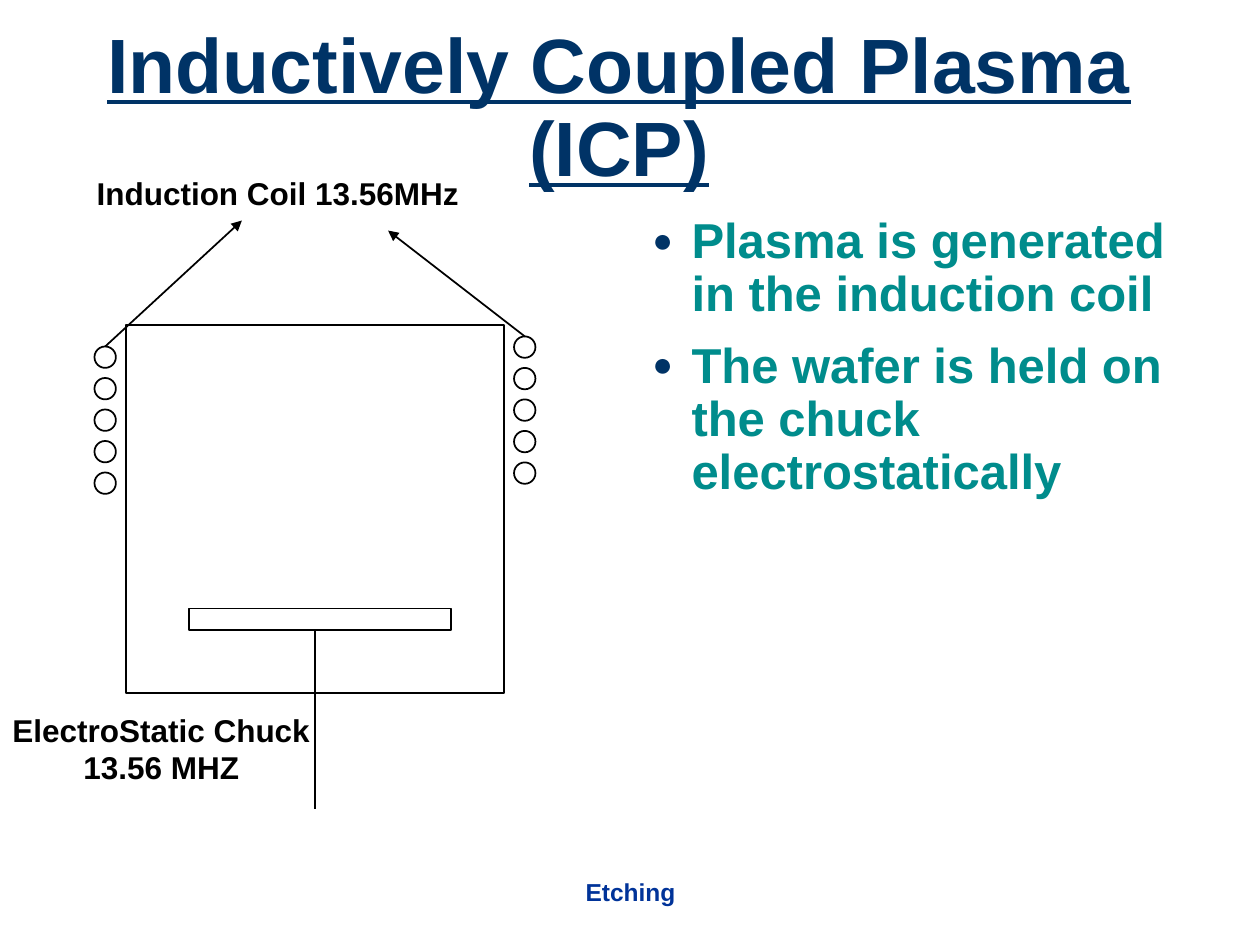
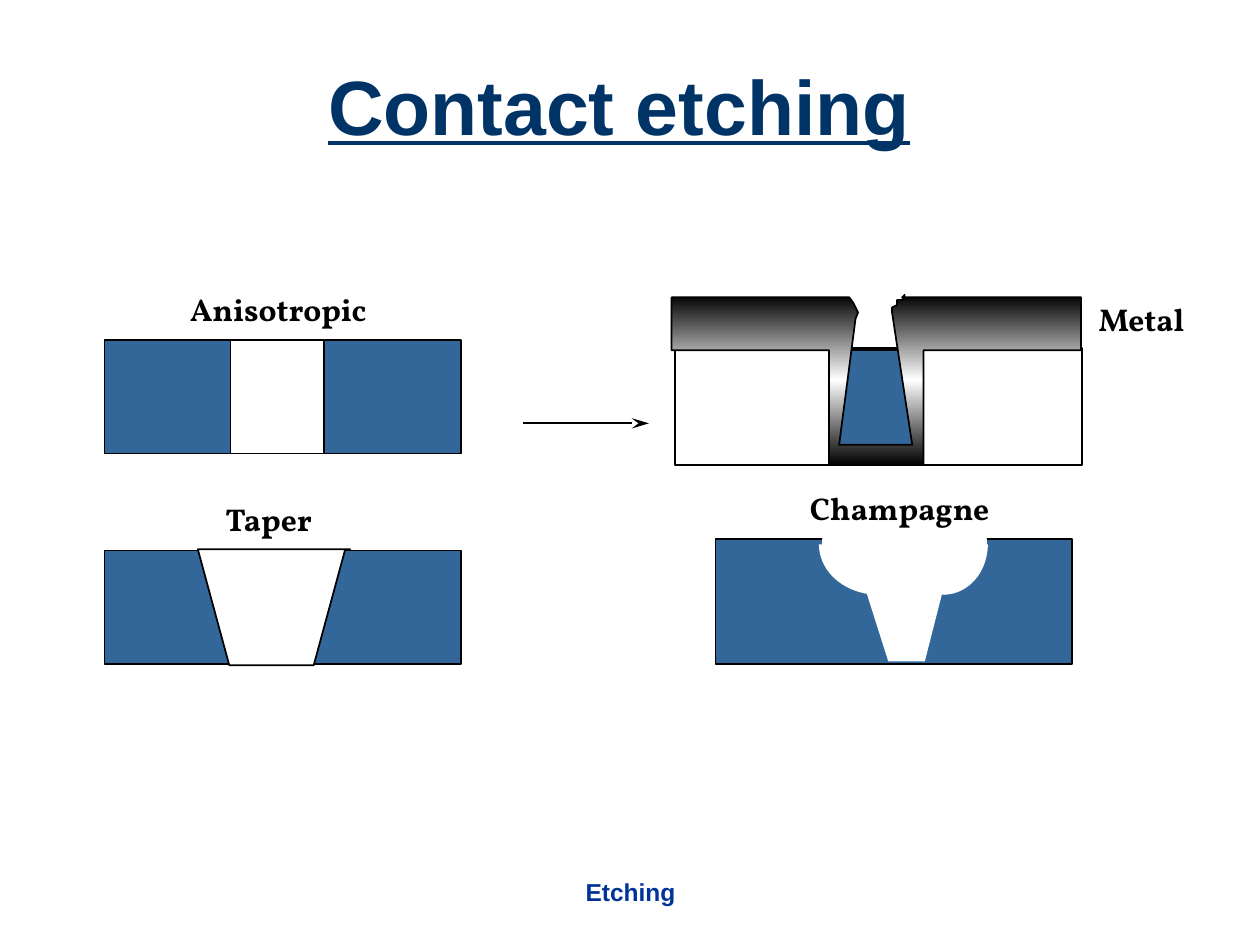
"""Build two slides on plasma etching: an ICP reactor and contact etch profiles."""
from math import cos, pi, sin

from lxml.etree import SubElement
from pptx import Presentation
from pptx.dml.color import RGBColor
from pptx.enum.shapes import MSO_CONNECTOR, MSO_SHAPE
from pptx.enum.text import MSO_ANCHOR, MSO_AUTO_SIZE, PP_ALIGN
from pptx.oxml.ns import qn
from pptx.util import Inches, Pt

NAVY, FOOTER_BLUE, TEAL = "003366", "003399", "008C8C"
OXIDE, BLACK, WHITE = "336699", "000000", "FFFFFF"
SANS, SERIF = "Arial", "Vollkorn"


def color(value):
    return RGBColor.from_string(value)


def lengths(values):
    return [Inches(value) for value in values]


def quarter_disc(center_x, center_y, radius_x, radius_y, side, steps=24):
    """Outline the lower quarter of an ellipse; side is -1 for left, 1 for right."""
    angles = [pi / 2 * step / steps for step in range(steps + 1)]
    return [(center_x, center_y)] + [
        (center_x + side * radius_x * cos(angle), center_y + radius_y * sin(angle))
        for angle in angles
    ]


class SlideMaker:
    """Hold the shared style and the current slide."""

    def __init__(self):
        self.deck = Presentation()
        self.deck.slide_width, self.deck.slide_height = lengths((10, 7.5))
        self.page = None

    def start(self, title):
        self.page = self.deck.slides.add_slide(self.deck.slide_layouts[5])
        self.text(["Etching"], (3.42, 6.83, 3.17, 0.5), 14, FOOTER_BLUE,
                  align=PP_ALIGN.CENTER, anchor=MSO_ANCHOR.MIDDLE)
        box = self.page.shapes.title
        box.left, box.top, box.width, box.height = lengths((0.25, 0.25, 9.33, 1.25))
        frame = box.text_frame
        frame.auto_size = MSO_AUTO_SIZE.NONE
        frame.vertical_anchor = MSO_ANCHOR.MIDDLE
        frame.text = title
        para = frame.paragraphs[0]
        para.alignment = PP_ALIGN.CENTER
        para.line_spacing = 0.9
        self.font(para, 44, NAVY)
        para.font.underline = True

    def font(self, para, size, ink, name=SANS):
        para.font.size, para.font.bold, para.font.name = Pt(size), True, name
        para.font.color.rgb = color(ink)

    def text(self, lines, place, size, ink, name=SANS, align=PP_ALIGN.LEFT,
             anchor=MSO_ANCHOR.TOP, wrap=False, bullets=False):
        frame = self.page.shapes.add_textbox(*lengths(place)).text_frame
        frame.word_wrap = wrap
        frame.vertical_anchor = anchor
        frame.text = "\n".join(lines)
        for index, para in enumerate(frame.paragraphs):
            para.alignment = align
            if bullets:
                self.bullet(para)
                para.line_spacing = 0.9
                para.space_before = Pt(10.5 if index else 0)
            self.font(para, size, ink, name)

    def bullet(self, para):
        props = para._p.get_or_add_pPr()
        props.set("marL", str(Inches(0.31)))
        props.set("indent", str(-Inches(0.31)))
        tint = SubElement(props, qn("a:buClr"))
        SubElement(tint, qn("a:srgbClr"), val=NAVY)
        SubElement(props, qn("a:buSzPct"), val="70000")
        SubElement(props, qn("a:buFont"), typeface=SANS)
        SubElement(props, qn("a:buChar"), char="●")

    def label(self, lines, place):
        self.text(lines, place, 18, BLACK, align=PP_ALIGN.CENTER,
                  anchor=MSO_ANCHOR.MIDDLE)

    def caption(self, words, left, top, width):
        self.text([words], (left, top, width, 0.4), 18, BLACK, SERIF)

    def paint(self, shape, fill, line):
        shape.shadow.inherit = False
        if fill:
            shape.fill.solid()
            shape.fill.fore_color.rgb = color(fill)
        else:
            shape.fill.background()
        if line:
            shape.line.color.rgb = color(line)
            shape.line.width = Pt(1)
        else:
            shape.line.fill.background()
        return shape

    def shape(self, place, fill=WHITE, line=BLACK, kind=MSO_SHAPE.RECTANGLE):
        return self.paint(self.page.shapes.add_shape(kind, *lengths(place)), fill, line)

    def outline(self, points, fill=WHITE, line=None):
        corners = [lengths(point) for point in points]
        builder = self.page.shapes.build_freeform(*corners[0])
        builder.add_line_segments(corners[1:], close=True)
        return self.paint(builder.convert_to_shape(), fill, line)

    def shade(self, shape, stops):
        """Fill the shape with a gradient running from top to bottom."""
        shape.fill.gradient()
        shape.fill.gradient_angle = 270
        stop_list = shape._element.spPr.find(qn("a:gradFill")).find(qn("a:gsLst"))
        for old_stop in list(stop_list):
            stop_list.remove(old_stop)
        for percent, tint in stops:
            stop = SubElement(stop_list, qn("a:gs"), pos=str(percent * 1000))
            SubElement(stop, qn("a:srgbClr"), val=tint)

    def line(self, start, end, head=None, head_length="med", source=None):
        link = self.page.shapes.add_connector(
            MSO_CONNECTOR.STRAIGHT, *lengths(start + end))
        if source is not None:
            link.begin_connect(source, 0)
        link.line.color.rgb = color(BLACK)
        link.line.width = Pt(1)
        if head:
            SubElement(link.line._get_or_add_ln(), qn("a:tailEnd"),
                       type=head, w="med", len=head_length)
        SubElement(link._element.spPr, qn("a:effectLst"))


def reactor_slide(maker):
    maker.start("Inductively Coupled Plasma (ICP)")
    maker.text(["Plasma is generated in the induction coil",
                "The wafer is held on the chuck electrostatically"],
               (5.08, 1.67, 4.58, 4.83), 28, TEAL, wrap=True, bullets=True)
    maker.shape((1, 2.58, 3, 2.92))
    for left, top, tip in ((0.75, 2.75, (1.92, 1.75)), (4.08, 2.67, (3.08, 1.83))):
        turns = [maker.shape((left, top + 0.25 * turn, 0.17, 0.17), kind=MSO_SHAPE.OVAL)
                 for turn in range(5)]
        maker.line((left + 0.08, top), tip, "triangle", source=turns[0])
    maker.shape((1.5, 4.83, 2.08, 0.17))
    maker.line((2.5, 5), (2.5, 6.42))
    maker.label(["Induction Coil 13.56MHz"], (0.6, 1.33, 3.21, 0.4))
    maker.label(["ElectroStatic Chuck", "13.56 MHZ"], (0, 5.59, 2.56, 0.7))


def contact_slide(maker):
    maker.start("Contact etching")

    maker.caption("Taper", 1.69, 3.92, 0.95)
    maker.shape((0.83, 4.37, 2.83, 0.9), OXIDE)
    maker.outline([(1.57, 4.36), (1.82, 5.28), (2.49, 5.28), (2.74, 4.36),
                   (2.78, 4.36)], line=BLACK)

    maker.caption("Anisotropic", 1.41, 2.25, 1.69)
    maker.shape((0.83, 2.7, 2.83, 0.9), OXIDE)
    maker.shape((1.83, 2.7, 0.74, 0.9))
    maker.line((4.15, 3.36), (5.15, 3.36), "stealth", "lg")

    maker.caption("Champagne", 6.33, 3.83, 1.69)
    maker.shape((5.68, 4.28, 2.83, 0.99), OXIDE)
    for center, radius, side in ((6.97, 0.47, -1), (7.5, 0.35, -1), (7.49, 0.35, 1)):
        maker.outline(quarter_disc(center, 4.32, radius, 0.4, side))
    maker.outline([(7.5, 4.62), (7.34, 5.25), (7.05, 5.25), (6.85, 4.62)])
    maker.shape((6.86, 4.33, 0.64, 0.38), line=None)
    maker.shape((6.53, 4.28, 1.3, 0.07), line=WHITE)

    maker.caption("Metal", 8.62, 2.33, 0.92)
    maker.shape((5.36, 2.76, 3.23, 0.93), fill=None)
    maker.shape((6.59, 2.78, 0.74, 0.9), OXIDE)
    metal = maker.outline([
        (5.33, 2.78), (5.33, 2.36), (6.74, 2.36), (6.77, 2.4), (6.79, 2.44),
        (6.81, 2.48), (6.79, 2.53), (6.66, 3.53), (7.24, 3.53), (7.08, 2.48),
        (7.08, 2.44), (7.12, 2.42), (7.12, 2.38), (7.16, 2.38), (7.18, 2.34),
        (7.16, 2.36), (8.58, 2.36), (8.58, 2.78), (7.33, 2.78), (7.33, 3.69),
        (6.58, 3.69), (6.58, 2.78)], line=BLACK)
    maker.shade(metal, [(0, BLACK), (50, WHITE), (100, BLACK)])


def main():
    maker = SlideMaker()
    reactor_slide(maker)
    contact_slide(maker)
    maker.deck.save("out.pptx")


if __name__ == "__main__":
    main()
